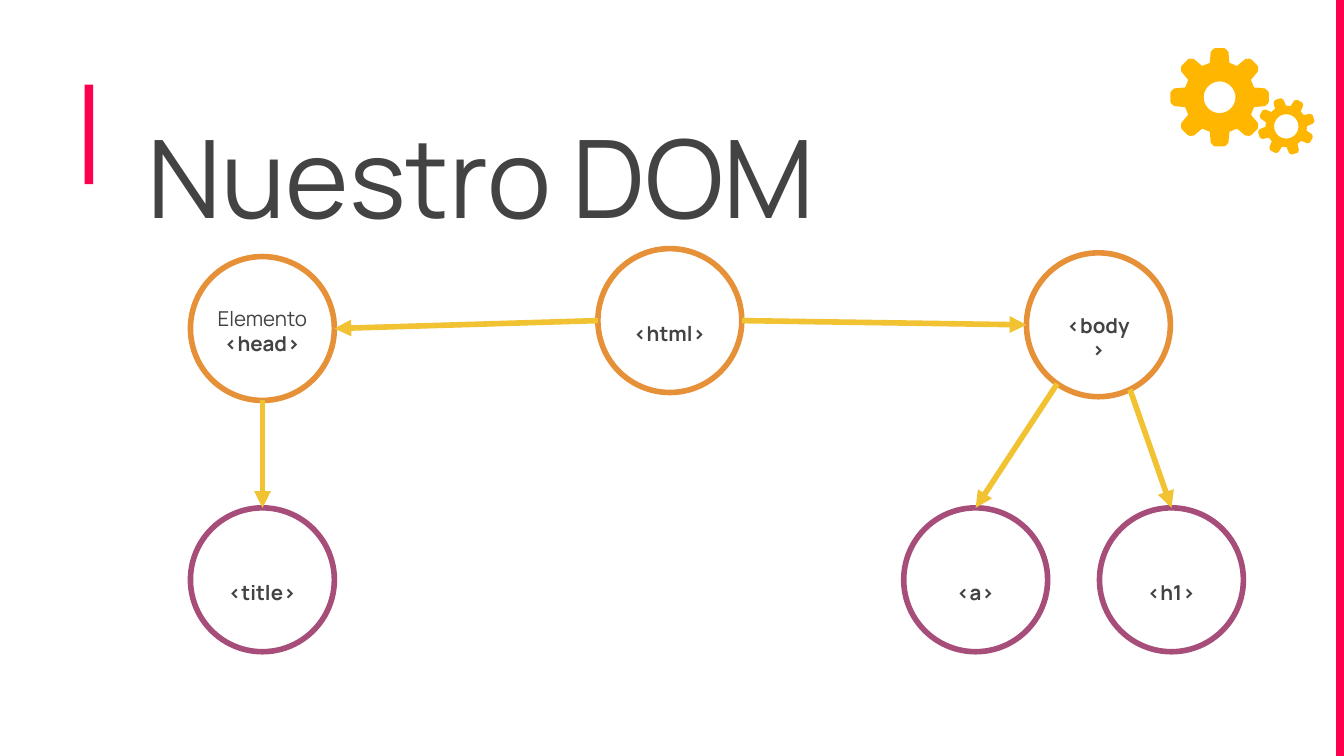
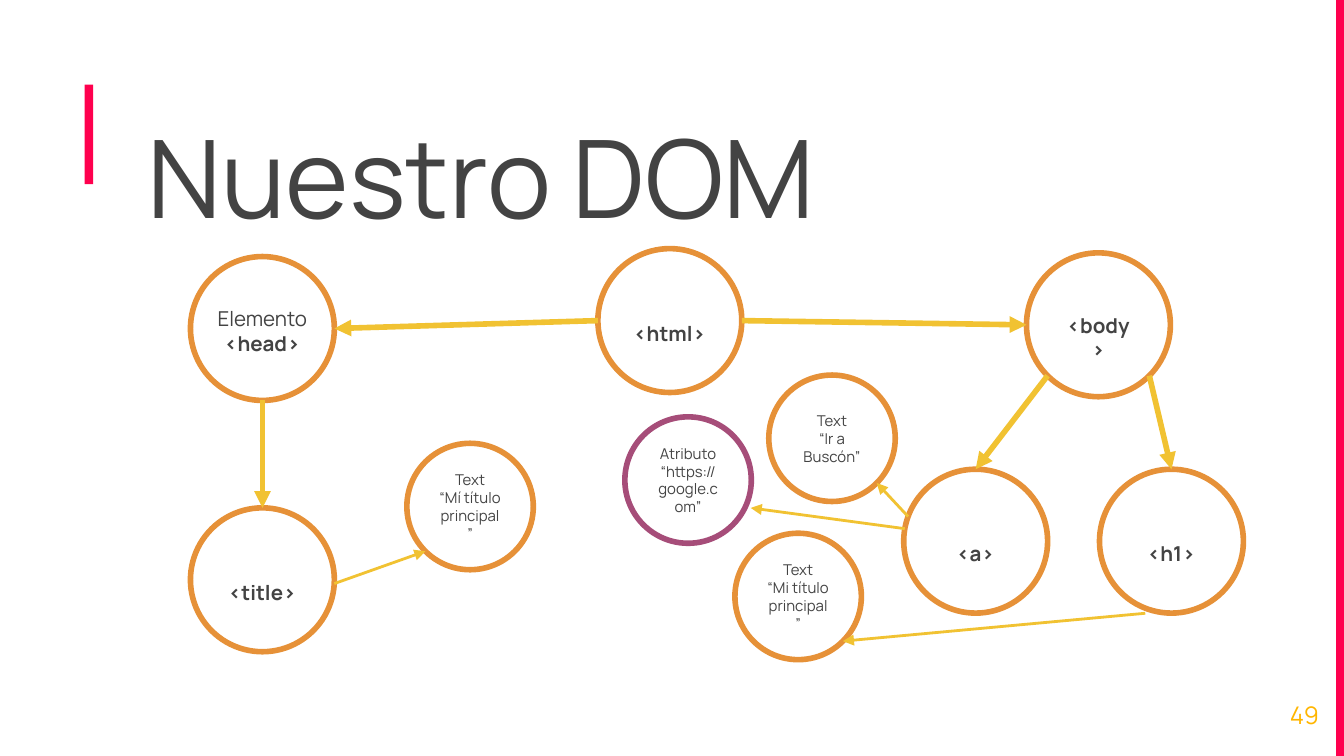
from collections import namedtuple
from dataclasses import dataclass
from math import cos, radians, sin

from lxml.etree import SubElement
from pptx import Presentation
from pptx.dml.color import RGBColor
from pptx.enum.shapes import MSO_CONNECTOR, MSO_SHAPE
from pptx.enum.text import MSO_ANCHOR, MSO_AUTO_SIZE, PP_ALIGN
from pptx.oxml.ns import qn
from pptx.util import Cm, Pt

Box = namedtuple("Box", "left top width height")


@dataclass(frozen=True)
class Theme:
    """Colours, font, type sizes and line widths of the deck."""
    font: str = "Manrope"
    ink: str = "434343"
    accent: str = "FF004E"
    gold: str = "FFB600"
    arrow: str = "F1C232"
    orange: str = "E69138"
    plum: str = "A64D79"
    title_size: float = 58
    tag_size: float = 11
    leaf_size: float = 8
    number_size: float = 13
    thick: float = 3
    thin: float = 1.5


THEME = Theme()
PAGE = Box(0, 0, 25.4, 14.29)
TITLE = Box(2.54, 1.83, 19.08, 2.39)
TREE = Box(3.4, 4.7, 20.1, 8.12)
GEARS = Box(22.12, 0.91, 2.72, 2.01)
NUMBER = Box(23.9, 12.75, 1.5, 1.52)
MARGIN = 0.25
TAG_DROP = 0.47
TAG_DIAMETER = 2.72
LEAF_DIAMETER = 2.39


def rgb(colour):
    """Turn a hex string into a colour."""
    return RGBColor.from_string(colour)


def within(area, left, top, width, height):
    """Return a box given relative to an area."""
    return Box(area.left + left, area.top + top, width, height)


def lengths(box):
    """Return the four measures of a box as lengths."""
    return [Cm(measure) for measure in box]


def paint(shape, colour):
    """Give a shape a plain fill without outline or shadow."""
    shape.shadow.inherit = False
    shape.fill.solid()
    shape.fill.fore_color.rgb = rgb(colour)
    shape.line.fill.background()


def format_text(frame, size, colour=THEME.ink, bold=False, align=PP_ALIGN.CENTER,
                anchor=MSO_ANCHOR.MIDDLE, drop=0):
    """Format all the text of a frame, lowered by drop."""
    frame.word_wrap = True
    frame.auto_size = MSO_AUTO_SIZE.NONE
    frame.vertical_anchor = anchor
    frame.margin_left = frame.margin_right = frame.margin_bottom = Cm(MARGIN)
    frame.margin_top = Cm(MARGIN + drop)
    for paragraph in frame.paragraphs:
        paragraph.alignment = align
        for run in paragraph.runs:
            run.font.name = THEME.font
            run.font.size = Pt(size)
            run.font.bold = bold
            run.font.color.rgb = rgb(colour)


def add_bands(slide, page):
    """Draw the two accent bands and move them to the shared layout."""
    title_mark = within(page, 1.6, 1.6, 0.16, 1.88)
    edge = within(page, page.width - 0.15, 0, 0.15, page.height)
    for band_box in (title_mark, edge):
        band = slide.shapes.add_shape(MSO_SHAPE.RECTANGLE, *lengths(band_box))
        paint(band, THEME.accent)
        slide.slide_layout.shapes.element.append(band.element)


def add_title(slide, box, wording):
    """Place and format the title placeholder."""
    title = slide.shapes.title
    title.left, title.top, title.width, title.height = lengths(box)
    title.text_frame.text = wording
    format_text(title.text_frame, THEME.title_size, align=PP_ALIGN.LEFT,
                anchor=MSO_ANCHOR.TOP)


def add_page_number(slide, box, number):
    """Write the page number in the corner."""
    frame = slide.shapes.add_textbox(*lengths(box)).text_frame
    frame.text = number
    format_text(frame, THEME.number_size, THEME.gold)


def polar(centre, radius, degrees):
    """Return the point at an angle, clockwise from the right."""
    angle = radians(degrees)
    return Cm(centre[0] + radius * cos(angle)), Cm(centre[1] + radius * sin(angle))


def add_gear(shapes, centre, radius, hole, turn):
    """Draw a gear with eight rounded teeth and a round hole."""
    half_tooth = [(-0.2, 0.7), (-0.18, 0.92), (-0.13, 0.98), (-0.09, 1)]
    tooth = half_tooth + [(-across, out) for across, out in reversed(half_tooth)]
    outline = []
    for step in range(8):
        angle = radians(45 * step + turn)
        for across, out in tooth:
            x = centre[0] + radius * (out * cos(angle) - across * sin(angle))
            y = centre[1] + radius * (out * sin(angle) + across * cos(angle))
            outline.append((Cm(x), Cm(y)))
    rim = [polar(centre, hole, -10 * step) for step in range(36)]
    builder = shapes.build_freeform(*outline[0])
    builder.add_line_segments(outline[1:], close=True)
    builder.move_to(*rim[0])
    builder.add_line_segments(rim[1:], close=True)
    paint(builder.convert_to_shape(), THEME.gold)


def add_gears(slide, box):
    """Draw the large and the small gear as one group."""
    shapes = slide.shapes.add_group_shape().shapes
    add_gear(shapes, (box.left + 0.93, box.top + 0.93), 0.93, 0.3, 0)
    add_gear(shapes, (box.left + 2.19, box.top + 1.48), 0.54, 0.23, -17)


def add_circle(slide, box, colour):
    """Draw an outlined circle."""
    circle = slide.shapes.add_shape(MSO_SHAPE.OVAL, *lengths(box))
    circle.shadow.inherit = False
    circle.fill.background()
    circle.line.color.rgb = rgb(colour)
    circle.line.width = Pt(THEME.thick)
    return circle


def add_tag(slide, area, left, top, wording, colour=THEME.orange):
    """Draw the circle of an HTML tag and return its box."""
    box = within(area, left, top, TAG_DIAMETER, TAG_DIAMETER)
    frame = add_circle(slide, box, colour).text_frame
    frame.text = wording
    format_text(frame, THEME.tag_size, bold=True, drop=TAG_DROP)
    return box


def add_leaf(slide, area, left, top, wording, colour=THEME.orange):
    """Draw the circle of a text or attribute and return its box."""
    box = within(area, left, top, LEAF_DIAMETER, LEAF_DIAMETER)
    frame = add_circle(slide, box, colour).text_frame
    frame.text = wording
    format_text(frame, THEME.leaf_size)
    return box


def add_head(slide, area):
    """Draw the head element with its label and return its box."""
    label = slide.shapes.add_textbox(*lengths(within(area, 0, 0.84, 3.12, 1.37)))
    paragraph = label.text_frame.paragraphs[0]
    paragraph.text = "Elemento "
    paragraph.add_run().text = "<head>"
    format_text(label.text_frame, THEME.tag_size, anchor=MSO_ANCHOR.TOP)
    paragraph.runs[1].font.bold = True
    box = within(area, 0.2, 0.15, TAG_DIAMETER, TAG_DIAMETER)
    add_circle(slide, box, THEME.orange)
    return box


def rim_point(circle, degrees, gap=0):
    """Return the point on a circle's rim, or a gap outside it."""
    radius = circle.width / 2
    centre = circle.left + radius, circle.top + radius
    return polar(centre, radius + gap, degrees)


def add_arrow(slide, start, end, width=THEME.thick):
    """Draw an arrow between two points."""
    arrow = slide.shapes.add_connector(MSO_CONNECTOR.STRAIGHT, *start, *end)
    arrow.line.color.rgb = rgb(THEME.arrow)
    arrow.line.width = Pt(width)
    SubElement(arrow.line._get_or_add_ln(), qn("a:tailEnd"), type="triangle")
    SubElement(arrow.element.spPr, qn("a:effectLst"))


def add_trunk(slide, area, title_colour):
    """Draw html, head, body and title, and return body and title."""
    head = add_head(slide, area)
    html = add_tag(slide, area, 7.9, 0, "<html>")
    body = add_tag(slide, area, 16, 0.08, "<body>")
    title = add_tag(slide, area, 0.2, 4.9, "<title>", title_colour)
    add_arrow(slide, rim_point(html, 180), rim_point(head, 0))
    add_arrow(slide, rim_point(html, 0), rim_point(body, 180))
    add_arrow(slide, rim_point(head, 90), rim_point(title, 270))
    return body, title


def add_body_children(slide, area, body, top, colour, angles):
    """Draw the a and h1 tags under body and return their boxes."""
    anchor = add_tag(slide, area, 13.68, top, "<a>", colour)
    heading = add_tag(slide, area, 17.38, top, "<h1>", colour)
    for child, degrees in zip((anchor, heading), angles):
        add_arrow(slide, rim_point(body, degrees), rim_point(child, 270))
    return anchor, heading


def build_element_tree(slide, area):
    """Draw the tree of elements."""
    body, _ = add_trunk(slide, area, THEME.plum)
    add_body_children(slide, area, body, 4.9, THEME.plum, (125, 64))


def build_full_tree(slide, area):
    """Draw the tree of elements with its texts and attribute."""
    body, title = add_trunk(slide, area, THEME.orange)
    anchor, heading = add_body_children(slide, area, body, 4.17, THEME.orange,
                                        (135, 45))
    title_text = add_leaf(slide, area, 4.29, 3.68, "Text\n“Mí título principal”")
    link_text = add_leaf(slide, area, 11.13, 2.39, "Text\n“Ir a Buscón”")
    heading_text = add_leaf(slide, area, 10.49, 5.38, "Text\n“Mi título principal”")
    address = add_leaf(slide, area, 8.41, 3.18, "Atributo “https://google.com”",
                       THEME.plum)
    links = [
        (rim_point(title, 3), rim_point(title_text, 135)),
        (rim_point(anchor, 200), rim_point(link_text, 45)),
        (rim_point(heading, 110, 0.09), rim_point(heading_text, 45)),
        (rim_point(anchor, 190), rim_point(address, 24, 0.1)),
    ]
    for start, end in links:
        add_arrow(slide, start, end, THEME.thin)


def main():
    """Build the two slides and save them."""
    deck = Presentation()
    deck.slide_width, deck.slide_height = Cm(PAGE.width), Cm(PAGE.height)
    layout = deck.slide_layouts.get_by_name("Title Only")
    elements, full = [deck.slides.add_slide(layout) for _ in range(2)]
    add_bands(elements, PAGE)
    for slide in (elements, full):
        add_title(slide, TITLE, "Nuestro DOM")
    add_gears(elements, GEARS)
    build_element_tree(elements, TREE)
    build_full_tree(full, TREE)
    add_page_number(full, NUMBER, "49")
    deck.save("out.pptx")


if __name__ == "__main__":
    main()
